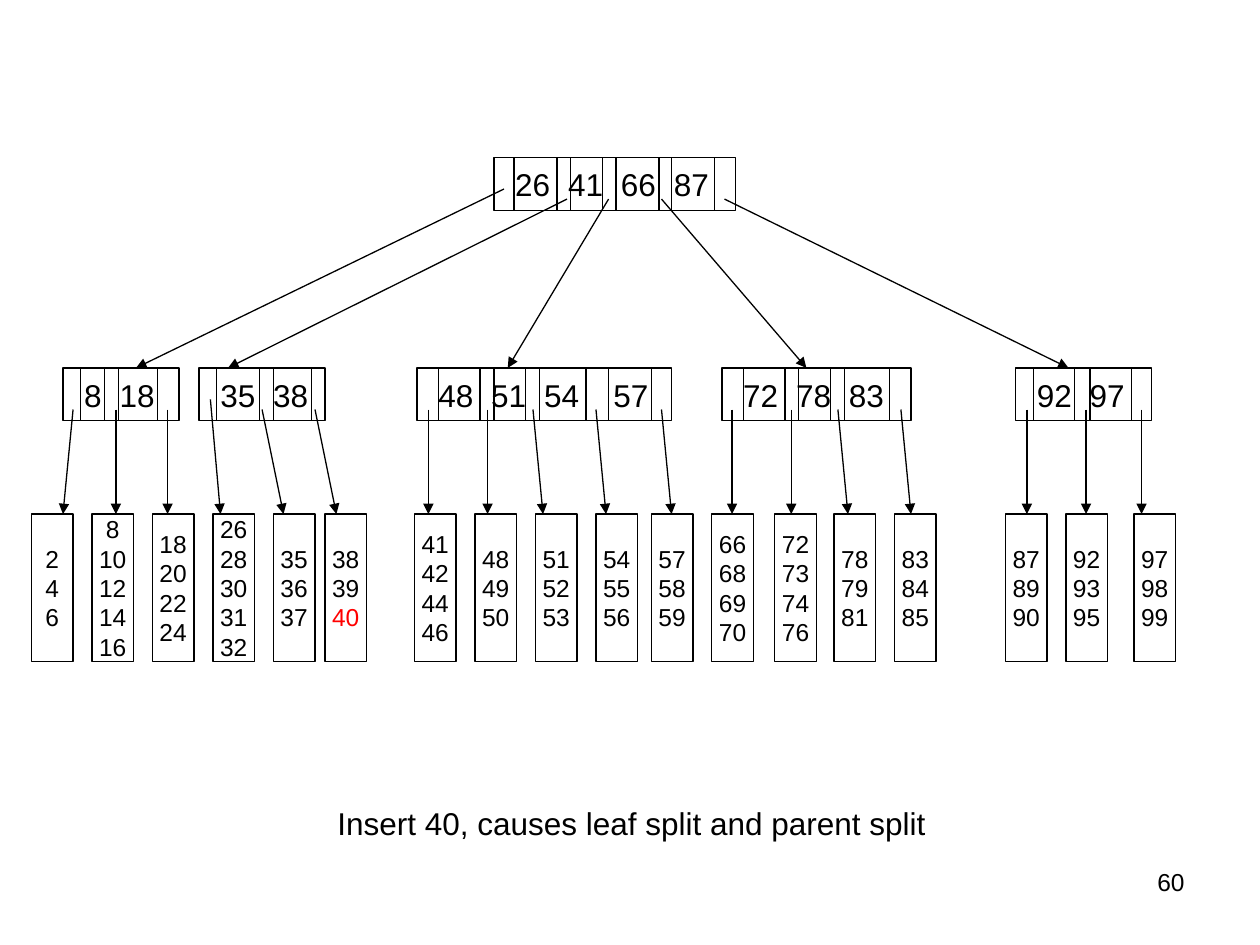
from collections import namedtuple

from lxml.etree import SubElement
from pptx import Presentation
from pptx.dml.color import RGBColor
from pptx.enum.shapes import MSO_CONNECTOR, MSO_SHAPE
from pptx.enum.text import MSO_ANCHOR, PP_ALIGN
from pptx.oxml.ns import qn
from pptx.util import Inches, Pt

BLACK = RGBColor(0, 0, 0)
RED = RGBColor(255, 0, 0)
WHITE = RGBColor(255, 255, 255)

ROOT_TOP, NODE_TOP, LEAF_TOP = 1.25, 2.92, 4.08
NODE_HEIGHT = 0.42
LEAF_WIDTH, LEAF_HEIGHT = 0.33, 1.17
POINTER_DEPTH, HIGH_POINTER_DEPTH = 0.33, 0.25
FIRST_KEY, KEY_PITCH = 0.07, 0.42
NEW_KEY = "40"

Node = namedtuple("Node", "left width keys stops dividers pointers")


def key_stops(count):
    return [FIRST_KEY + KEY_PITCH * i for i in range(count)]


ROOT = Node(3.92, 1.92, "26 41 66 87", key_stops(4),
            [0.16, 0.5, 0.61, 0.86, 0.97, 1.31, 1.41, 1.75],
            [0.08, 0.58, 0.91, 1.33, 1.83])

CHILDREN = [
    (Node(0.5, 0.92, "8 18", [FIRST_KEY, 0.35],
          [0.14, 0.33, 0.44, 0.75], [0.08, 0.42, 0.83]),
     1.08, [-0.08, 0, 0],
     [(0.25, "2 4 6"), (0.73, "8 10 12 14 16"), (1.21, "18 20 22 24")]),
    (Node(1.58, 1, "35 38", key_stops(2),
          [0.14, 0.48, 0.59, 0.89], [0.09, 0.5, 0.92]),
     1.81, [0.08, 0.17, 0.17],
     [(1.69, "26 28 30 31 32"), (2.17, "35 36 37"), (2.58, "38 39 40")]),
    (Node(3.31, 2.02, "48 51 54 57", key_stops(3) + [1.46],
          [0.17, 0.5, 0.61, 0.86, 0.97, 1.34, 1.52, 1.86],
          [0.09, 0.56, 0.92, 1.42, 1.94]),
     4.03, [0, 0, 0.08, 0.08, 0.08],
     [(3.29, "41 42 44 46"), (3.77, "48 49 50"), (4.25, "51 52 53"),
      (4.73, "54 55 56"), (5.17, "57 58 59")]),
    (Node(5.73, 1.5, "72 78 83", key_stops(3),
          [0.17, 0.5, 0.61, 0.86, 0.97, 1.33], [0.08, 0.55, 0.92, 1.42]),
     6.4, [0, 0, 0.08, 0.08],
     [(5.65, "66 68 69 70"), (6.15, "72 73 74 76"), (6.62, "78 79 81"),
      (7.1, "83 84 85")]),
    (Node(8.06, 1.08, "92 97", key_stops(2),
          [0.14, 0.47, 0.59, 0.92], [0.09, 0.56, 1]),
     8.48, [0, 0, 0],
     [(7.98, "87 89 90"), (8.46, "92 93 95"), (9, "97 98 99")]),
]


def write(frame, lines, size=18, align=PP_ALIGN.LEFT, anchor=MSO_ANCHOR.TOP,
          wrap=True, stops=(), highlight=None):
    frame.word_wrap = wrap
    frame.vertical_anchor = anchor
    for index, line in enumerate(lines):
        paragraph = frame.paragraphs[0] if index == 0 else frame.add_paragraph()
        paragraph.alignment = align
        if stops:
            tabs = SubElement(paragraph._p.get_or_add_pPr(), qn("a:tabLst"))
            for stop in stops:
                SubElement(tabs, qn("a:tab"), pos=str(Inches(stop)), algn="l")
        run = paragraph.add_run()
        run.text = line
        run.font.name = "Arial"
        run.font.size = Pt(size)
        run.font.color.rgb = RED if line == highlight else BLACK


def add_text(slide, left, top, width, height, text, **text_format):
    box = slide.shapes.add_textbox(*map(Inches, (left, top, width, height)))
    write(box.text_frame, [text], **text_format)


def add_frame(slide, left, top, width, height, lines, **text_format):
    frame = slide.shapes.add_shape(
        MSO_SHAPE.RECTANGLE, *map(Inches, (left, top, width, height)))
    frame.shadow.inherit = False
    frame.fill.background()
    frame.line.color.rgb = BLACK
    frame.line.width = Pt(0.75)
    write(frame.text_frame, lines, anchor=MSO_ANCHOR.MIDDLE, **text_format)


def add_line(slide, x1, y1, x2, y2, arrow=False):
    line = slide.shapes.add_connector(
        MSO_CONNECTOR.STRAIGHT, *map(Inches, (x1, y1, x2, y2)))
    line.line.color.rgb = BLACK
    line.line.width = Pt(0.75)
    if arrow:
        SubElement(line.line._get_or_add_ln(), qn("a:tailEnd"), type="triangle")
    SubElement(line._element.spPr, qn("a:effectLst"))


def add_node(slide, node, top):
    keys = "".join("\t" + key for key in node.keys.split())
    add_frame(slide, node.left, top, node.width, NODE_HEIGHT, [keys],
              stops=node.stops)
    for offset in node.dividers:
        x = node.left + offset
        add_line(slide, x, top, x, top + NODE_HEIGHT)


def add_pointers(slide, node, top, targets, target_top, first_high=False):
    for index, (offset, target) in enumerate(zip(node.pointers, targets)):
        high = first_high and index == 0
        depth = HIGH_POINTER_DEPTH if high else POINTER_DEPTH
        add_line(slide, node.left + offset, top + depth, target, target_top,
                 arrow=True)


def add_subtree(slide, node, leans, leaves, first_high):
    add_node(slide, node, NODE_TOP)
    for left, values in leaves:
        add_frame(slide, left, LEAF_TOP, LEAF_WIDTH, LEAF_HEIGHT, values.split(),
                  size=14, align=PP_ALIGN.CENTER, wrap=False, highlight=NEW_KEY)
    targets = [node.left + offset + lean
               for offset, lean in zip(node.pointers, leans)]
    add_pointers(slide, node, NODE_TOP, targets, LEAF_TOP, first_high)


def add_tree(slide):
    add_node(slide, ROOT, ROOT_TOP)
    for index, (node, _, leans, leaves) in enumerate(CHILDREN):
        add_subtree(slide, node, leans, leaves, first_high=index == 1)
    entries = [entry for _, entry, _, _ in CHILDREN]
    add_pointers(slide, ROOT, ROOT_TOP, entries, NODE_TOP, first_high=True)


def main():
    deck = Presentation()
    deck.slide_width, deck.slide_height = Inches(10), Inches(7.5)
    slide = deck.slides.add_slide(deck.slide_layouts[6])
    slide.background.fill.solid()
    slide.background.fill.fore_color.rgb = WHITE
    add_tree(slide)
    add_text(slide, 2.58, 6.33, 4.87, 0.4,
             "Insert 40, causes leaf split and parent split", wrap=False)
    add_text(slide, 7.17, 6.83, 2.33, 0.52, "60", size=14,
             align=PP_ALIGN.RIGHT)
    deck.save("out.pptx")


if __name__ == "__main__":
    main()
